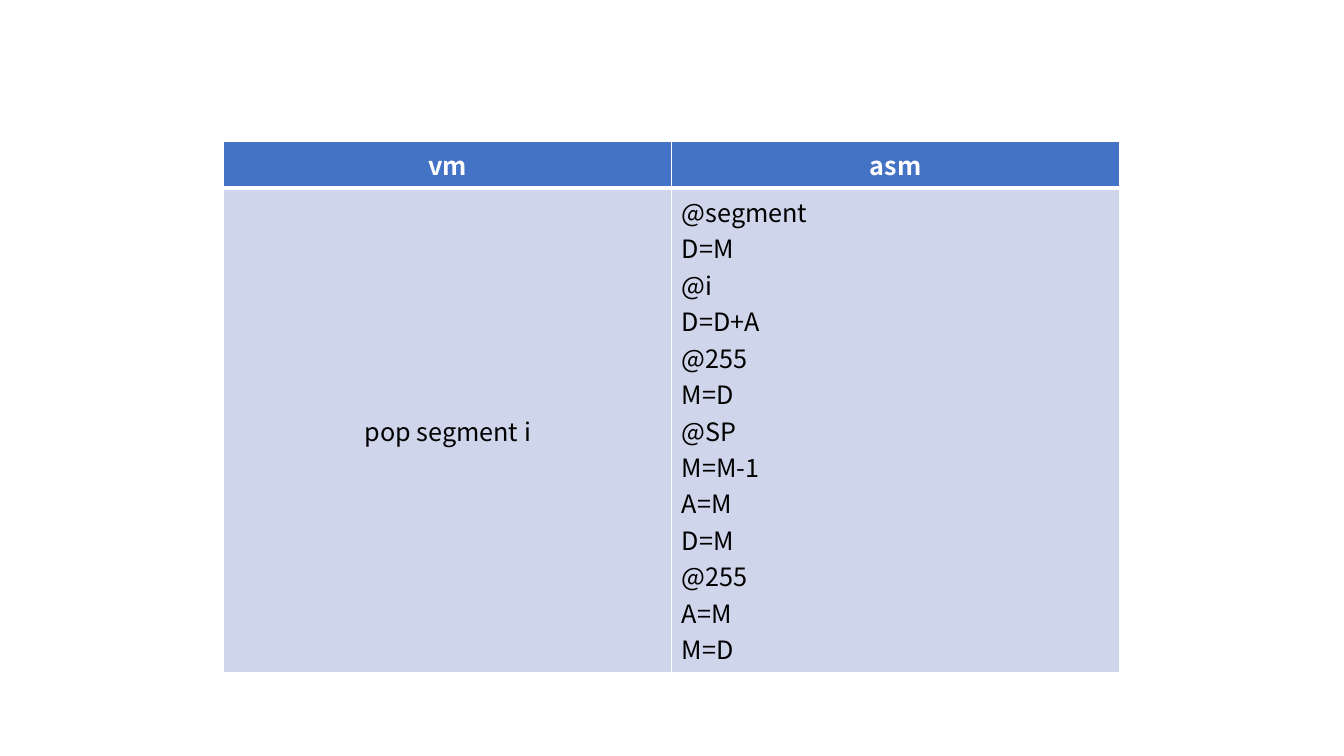
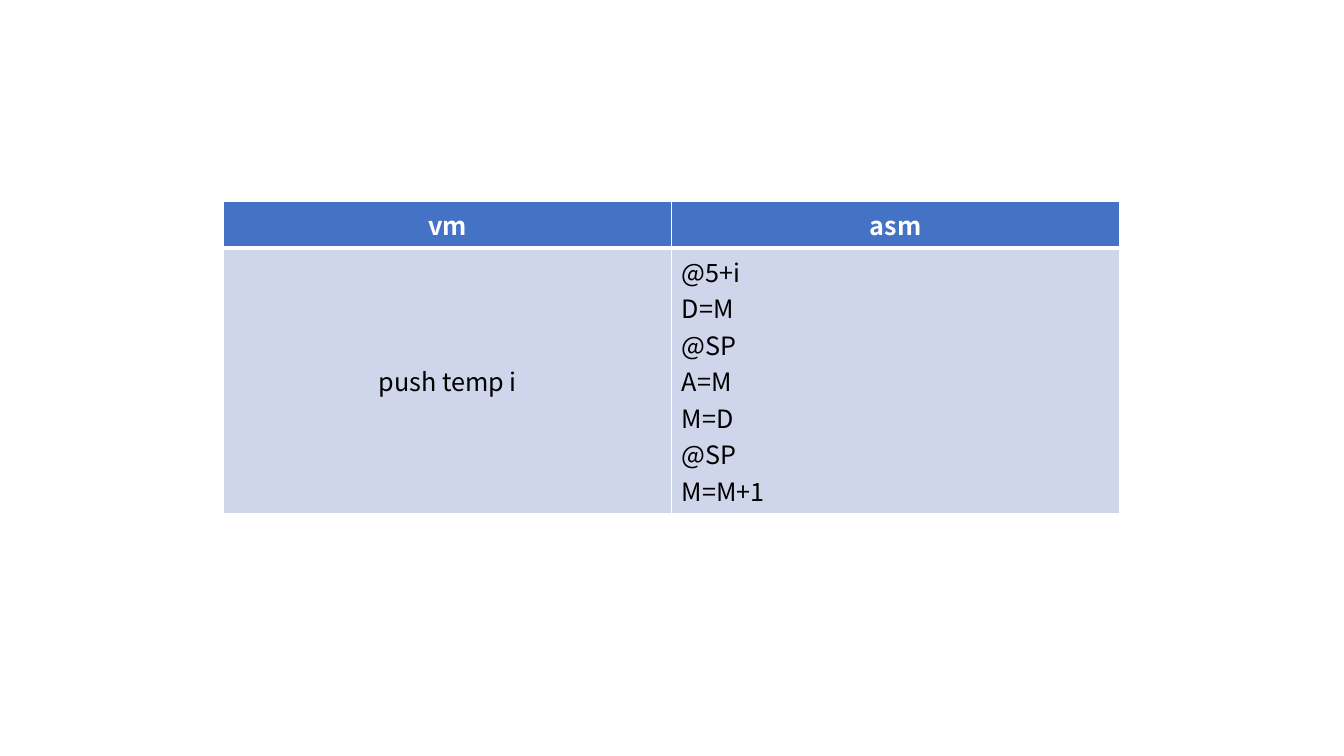
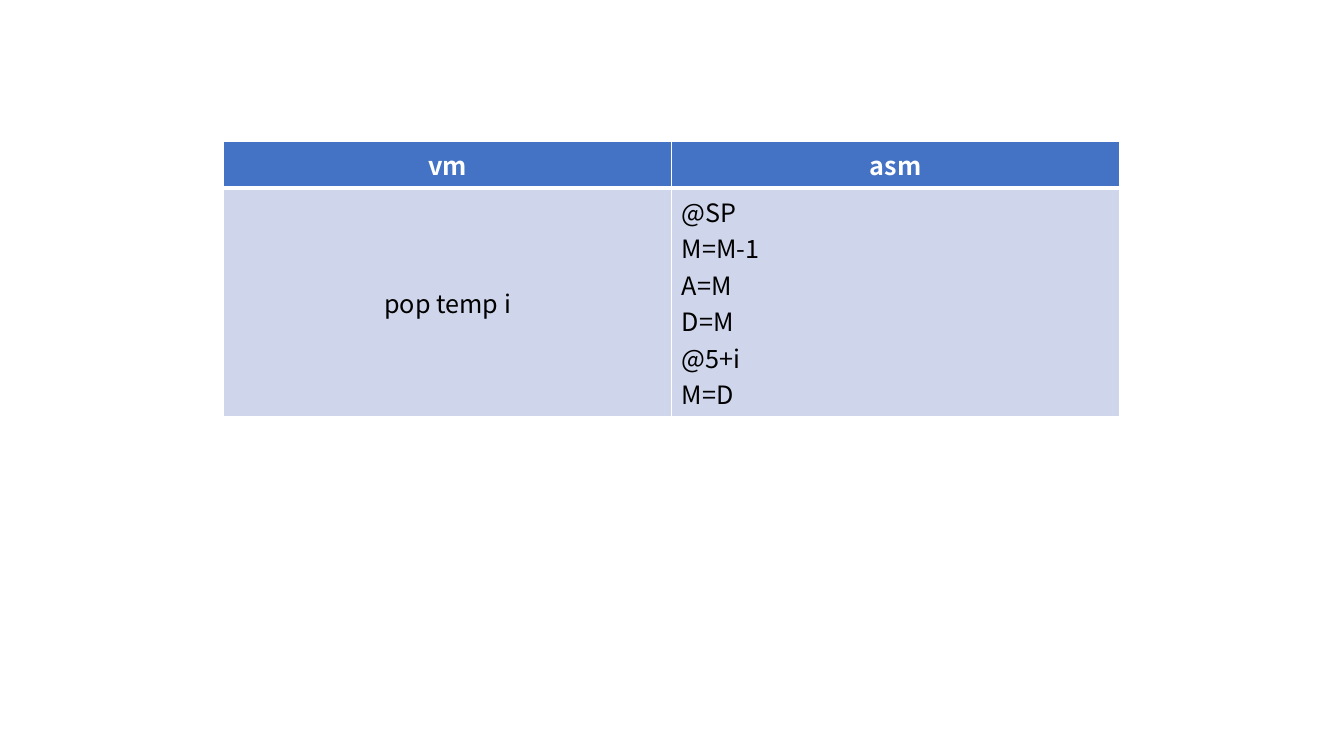
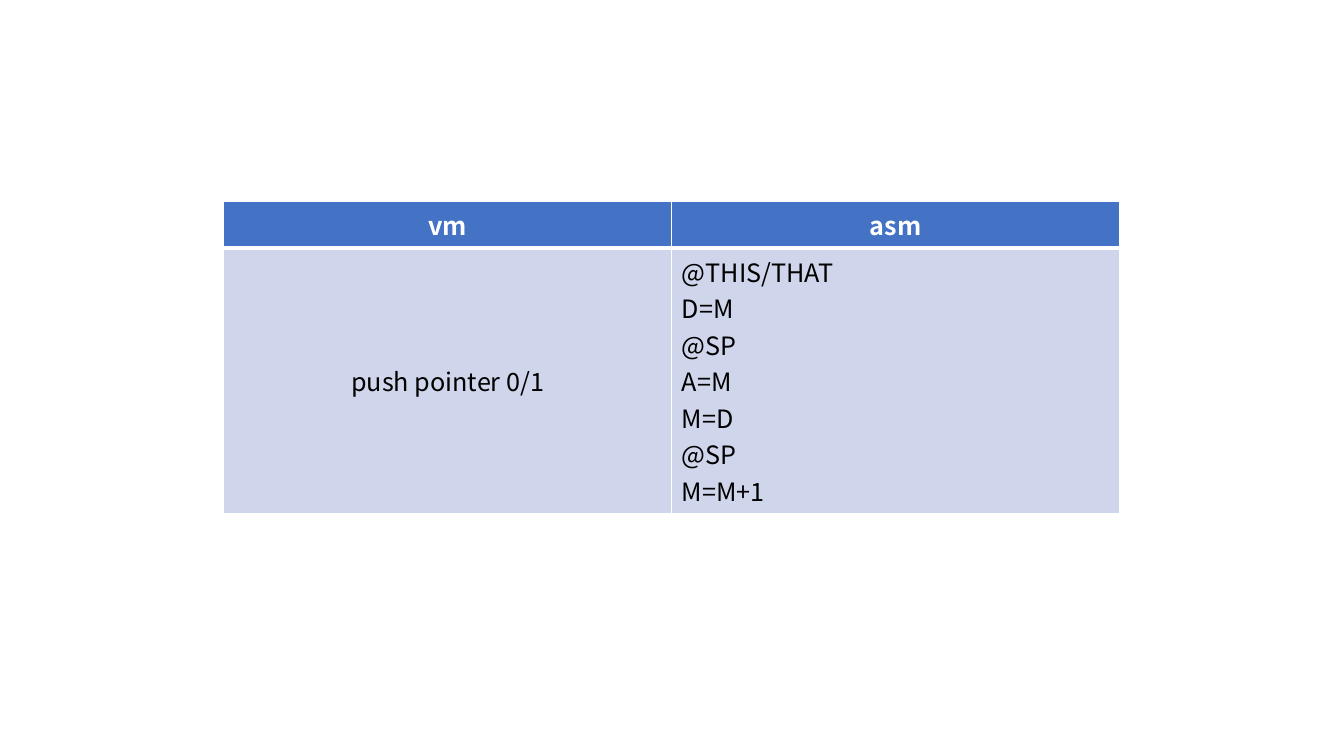
"""Build four slides that map VM commands to assembly code."""
from dataclasses import dataclass

from pptx import Presentation
from pptx.dml.color import RGBColor as Rgb
from pptx.enum.text import MSO_ANCHOR as Anchor, PP_ALIGN as Align
from pptx.oxml.ns import qn
from pptx.slide import Slide
from pptx.table import _Cell as Cell
from pptx.util import Cm, Pt
from lxml.etree import SubElement as Sub

HUES = {"head": "4472C4", "body": "CFD5EA", "white": "FFFFFF", "black": "000000"}
FONT = "Noto Sans CJK SC"
SIZE = Pt(18)
LEFT, COL = Cm(5.64), Cm(11.29)
HIGH, LOW = Cm(3.56), Cm(5.08)
ROW, LINE, PAD = Cm(1.03), Cm(0.76), Cm(0.25)


@dataclass(frozen=True)
class Code:
    """A VM command, its assembly code and the top of its table."""
    top: int
    vm: str
    asm: str


@dataclass(frozen=True)
class Look:
    """Fill, text and border style of one table row."""
    fill: str
    ink: str
    bold: bool
    edges: dict[str, int]


HEAD = Look("head", "white", True, {"lnL": 1, "lnR": 1, "lnT": 1, "lnB": 3})
BODY = Look("body", "black", False, {"lnL": 1, "lnR": 1, "lnB": 1})

CODES = [
    Code(HIGH, "pop segment i",
         "@segment D=M @i D=D+A @255 M=D @SP M=M-1 A=M D=M @255 A=M M=D"),
    Code(LOW, "push temp i", "@5+i D=M @SP A=M M=D @SP M=M+1"),
    Code(HIGH, "pop temp i", "@SP M=M-1 A=M D=M @5+i M=D"),
    Code(LOW, "push pointer 0/1", "@THIS/THAT D=M @SP A=M M=D @SP M=M+1"),
]


def edge(cell: Cell, look: Look) -> None:
    """Draw the white borders of a cell."""
    prop = cell._tc.get_or_add_tcPr()
    for side, width in look.edges.items():
        line = Sub(prop, qn(f"a:{side}"), w=str(Pt(width)))
        fill = Sub(line, qn("a:solidFill"))
        Sub(fill, qn("a:srgbClr"), val=HUES["white"])


def write(cell: Cell, lines: list[str], look: Look, align: Align) -> None:
    """Style a cell and write one paragraph per line."""
    edge(cell, look)
    cell.fill.solid()
    cell.fill.fore_color.rgb = Rgb.from_string(HUES[look.fill])
    cell.vertical_anchor = Anchor.MIDDLE
    frame = cell.text_frame
    for num, text in enumerate(lines):
        para = frame.add_paragraph() if num else frame.paragraphs[0]
        para.alignment = align
        run = para.add_run()
        run.text = text
        font = run.font
        font.name, font.size, font.bold = FONT, SIZE, look.bold
        font.color.rgb = Rgb.from_string(HUES[look.ink])


def draw(slide: Slide, code: Code) -> None:
    """Add the table for one command."""
    lines = code.asm.split()
    tall = LINE * len(lines) + PAD
    grid = slide.shapes.add_table(2, 2, LEFT, code.top, COL * 2, ROW + tall).table
    grid.rows[0].height, grid.rows[1].height = ROW, tall
    for col, name in enumerate(("vm", "asm")):
        write(grid.cell(0, col), [name], HEAD, Align.CENTER)
    write(grid.cell(1, 0), [code.vm], BODY, Align.CENTER)
    write(grid.cell(1, 1), lines, BODY, Align.LEFT)


def main() -> None:
    """Build and save the deck."""
    deck = Presentation()
    deck.slide_width, deck.slide_height = Cm(33.87), Cm(19.05)
    blank = deck.slide_layouts[6]
    for code in CODES:
        draw(deck.slides.add_slide(blank), code)
    deck.save("out.pptx")


if __name__ == "__main__":
    main()
